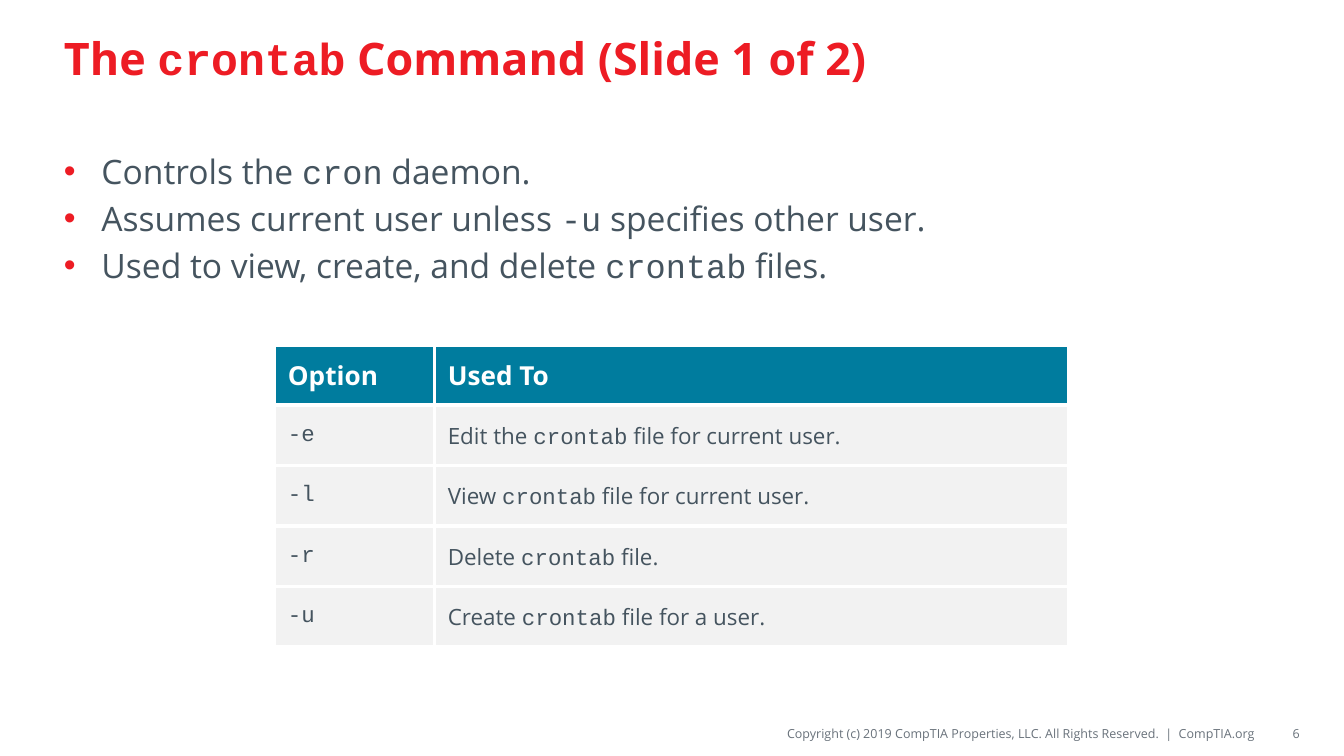
import pptx
import pptx.util
import pptx.dml.color
import pptx.enum.text
import pptx.oxml
import pptx.oxml.ns

Pt = pptx.util.Pt
MID = pptx.enum.text.MSO_ANCHOR.MIDDLE
TOP = pptx.enum.text.MSO_ANCHOR.TOP
LEFT = pptx.enum.text.PP_ALIGN.LEFT
RIGHT = pptx.enum.text.PP_ALIGN.RIGHT
NS = pptx.oxml.ns.nsdecls("a")
RED, SLATE, GREY, WHITE = "ED1C24", "45545F", "69727B", "FFFFFF"
TEAL, PALE = "007C9E", "F2F2F2"


def hue(part, code):
    part.rgb = pptx.dml.color.RGBColor.from_string(code)


def write(para, text, size, code, bold=False, align=LEFT):
    para.alignment = align
    for i, bit in enumerate(text.split("`")):
        if bit:
            run = para.add_run()
            run.text = bit
            look = {"name": ("Open Sans", "Courier New")[i % 2],
                    "size": Pt(size), "bold": bold}
            for key, val in look.items():
                setattr(run.font, key, val)
            hue(run.font.color, code)


deck = pptx.Presentation()
deck.slide_width = pptx.util.Inches(10)
deck.slide_height = deck.slide_width * 9 // 16
W, H = deck.slide_width / 100, deck.slide_height / 100
slide = deck.slides.add_slide(deck.slide_layouts[1])
title, body = slide.placeholders

spots = [(title, 3.75, 1.5, 92.5, 12.27, MID),
         (body, 3.75, 19.05, 92.5, 69.33, TOP)]
for shape, x, y, w, h, anchor in spots:
    place = {"left": x * W, "top": y * H, "width": w * W, "height": h * H}
    for key, val in place.items():
        setattr(shape, key, int(val))
    frame = {"vertical_anchor": anchor, "word_wrap": True,
             "auto_size": pptx.enum.text.MSO_AUTO_SIZE.NONE}
    for key, val in frame.items():
        setattr(shape.text_frame, key, val)

write(title.text_frame.paragraphs[0],
      "The `crontab` Command (Slide 1 of 2)", 24, RED, True)

points = ["Controls the `cron` daemon.",
          "Assumes current user unless `-u` specifies other user.",
          "Used to view, create, and delete `crontab` files."]
for i, text in enumerate(points):
    frame = body.text_frame
    para = frame.add_paragraph() if i else frame.paragraphs[0]
    props = para._p.get_or_add_pPr()
    props.set("marL", str(pptx.util.Inches(0.28)))
    props.set("indent", str(pptx.util.Inches(-0.28)))
    for tag in (f'<a:buClr {NS}><a:srgbClr val="{RED}"/></a:buClr>',
                f'<a:buFont {NS} typeface="Arial"/>',
                f'<a:buChar {NS} char="•"/>'):
        props.append(pptx.oxml.parse_xml(tag))
    para.space_before = Pt(3.6 if i else 0)
    write(para, text, 18, SLATE)

rows = [("Option", "Used To"),
        ("`-e`", "Edit the `crontab` file for current user."),
        ("`-l`", "View `crontab` file for current user."),
        ("`-r`", "Delete `crontab` file."),
        ("`-u`", "Create `crontab` file for a user.")]
cols = (11.9, 47.2)
grid = slide.shapes.add_table(
    len(rows), len(cols), int(20.42 * W), int(45.6 * H),
    int(sum(cols) * W), int(40 * H)).table
grid.horz_banding = False
for col, share in zip(grid.columns, cols):
    col.width = int(share * W)
for r, row in enumerate(rows):
    size, ink, fill = (12, SLATE, PALE) if r else (14, WHITE, TEAL)
    for c, text in enumerate(row):
        cell = grid.cell(r, c)
        cell.vertical_anchor = MID
        write(cell.text_frame.paragraphs[0], text, size, ink, not r)
        props = cell._tc.get_or_add_tcPr()
        for side in ("lnL", "lnR", "lnT", "lnB"):
            props.append(pptx.oxml.parse_xml(
                f'<a:{side} {NS} w="{Pt(2.25)}"><a:solidFill>'
                f'<a:srgbClr val="{WHITE}"/></a:solidFill></a:{side}>'))
        cell.fill.solid()
        hue(cell.fill.fore_color, fill)

notes = [(38.75, 54.7, "Copyright (c) 2019 CompTIA Properties, LLC. "
          "All Rights Reserved.  |  CompTIA.org"),
         (93.8, 2.9, "6")]
for x, w, text in notes:
    box = slide.shapes.add_textbox(
        int(x * W), int(95 * H), int(w * W), int(3.91 * H))
    frame = {"margin_left": 0, "margin_right": 0, "word_wrap": True,
             "vertical_anchor": MID}
    for key, val in frame.items():
        setattr(box.text_frame, key, val)
    write(box.text_frame.paragraphs[0], text, 6.75, GREY, align=RIGHT)

deck.save("out.pptx")
